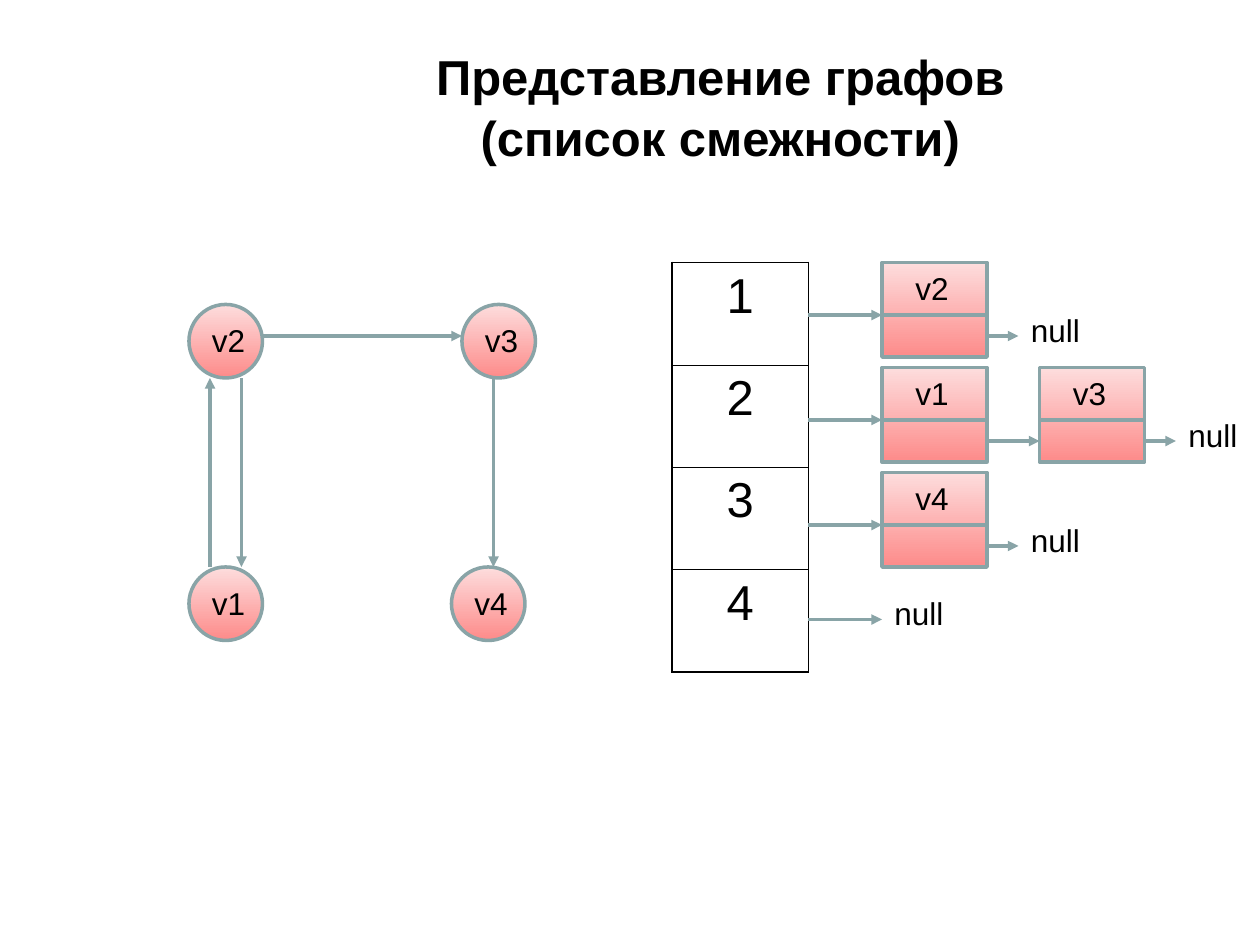
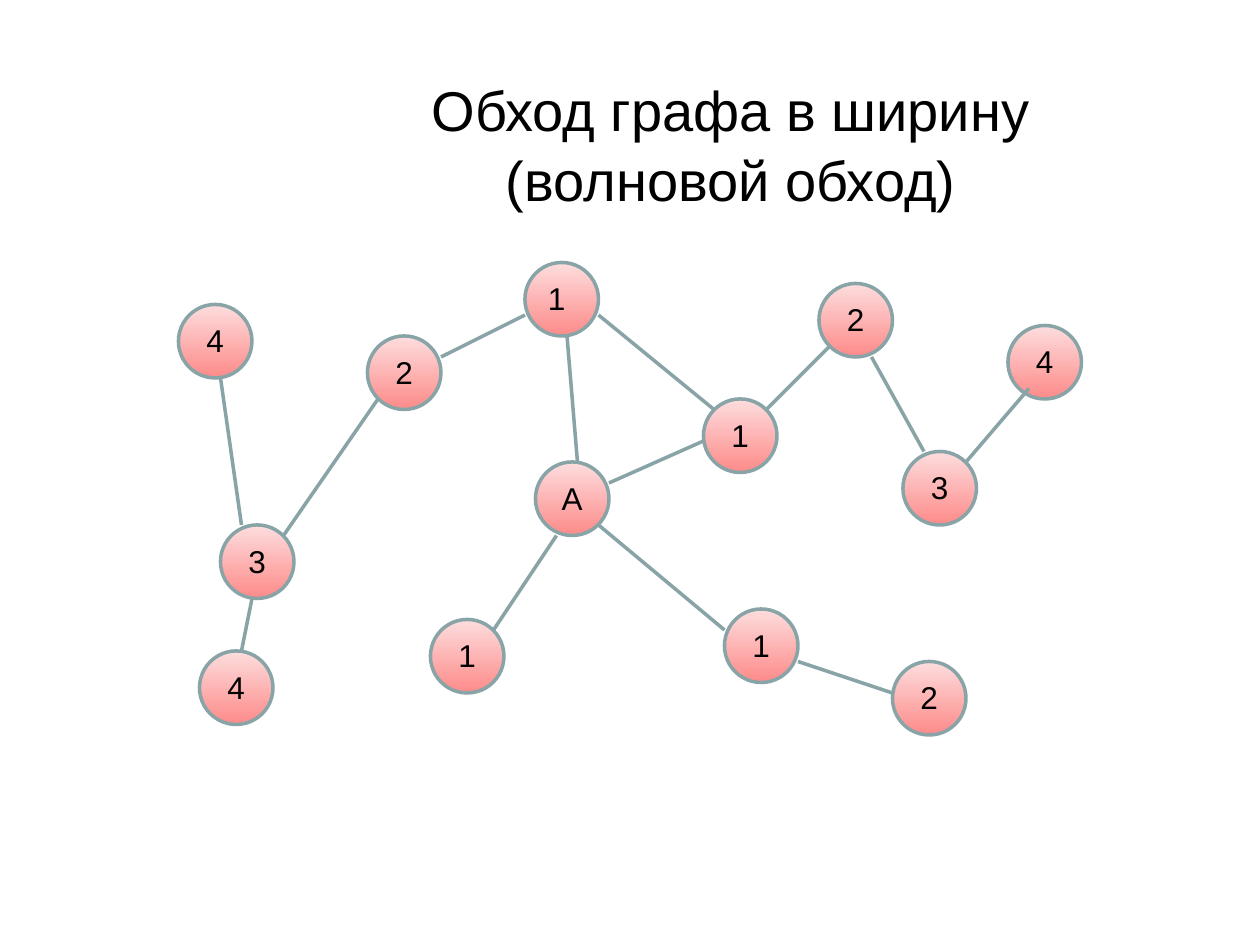
from dataclasses import dataclass

from lxml.etree import SubElement
from pptx import Presentation
from pptx.dml.color import RGBColor
from pptx.enum.shapes import MSO_CONNECTOR as CONN, MSO_SHAPE as SHAPE
from pptx.enum.text import MSO_ANCHOR as ANCHOR, PP_ALIGN as ALIGN
from pptx.oxml.ns import qn
from pptx.util import Inches, Pt

# Shared look
FONT = "Arial"
BLACK, OUTLINE = "000000", "89A4A7"
PINK_TOP, PINK_BOTTOM = "FDDDDD", "FD8B8A"
LINE_W = 2
OUTER_BORDER, INNER_BORDER = 1.08, 0.45

# The slide is a grid of 120 x 90 units, twelve to the inch
NODE = 7                    # diameter of a graph node
CELL_W, CELL_H = 10, 9      # one list element
CELL_SPLIT, CELL_LINK = 5, 7  # heights of its divider and outgoing arrow
LABEL_H = 4.8
TABLE_X, TABLE_Y, TABLE_W, ROW_H = 64, 25, 13, 9.75
LIST_X, LIST_STEP_X, LIST_STEP_Y = 84, 15, 10


@dataclass
class Node:
    text: str
    x: float
    y: float
    label_dx: float = 0


@dataclass
class Edge:
    x1: float
    y1: float
    x2: float
    y2: float


def u(n: float) -> int:
    """Grid units to slide lengths."""
    return Inches(n / 12)


def rgb(color: str) -> RGBColor:
    return RGBColor.from_string(color)


def write(tf, text: str, size=18, color=BLACK, bold=False, align=ALIGN.LEFT,
          anchor=None, spacing=None) -> None:
    """Fill a text frame, one paragraph; line ends become line breaks."""
    tf.word_wrap = True
    if anchor is not None:
        tf.vertical_anchor = anchor
    p = tf.paragraphs[0]
    p.alignment = align
    if spacing:
        p.line_spacing = spacing
    for i, part in enumerate(text.split("\n")):
        if i:
            p.add_line_break()
        r = p.add_run()
        r.text = part
        f = r.font
        f.name, f.size, f.bold = FONT, Pt(size), bold
        f.color.rgb = rgb(color)


def add_label(s, text: str, x: float, y: float, w: float, **fmt) -> None:
    box = s.shapes.add_textbox(u(x), u(y), u(w), u(LABEL_H))
    write(box.text_frame, text, **fmt)


def add_title(s, text: str, x: float, y: float, h: float, top: float = 0,
              bottom: float = 0, **fmt) -> None:
    tf = s.shapes.add_textbox(u(x), u(y), u(97.2), u(h)).text_frame
    tf.margin_top, tf.margin_bottom = u(top), u(bottom)
    write(tf, text, align=ALIGN.CENTER, anchor=ANCHOR.MIDDLE, spacing=1.05, **fmt)


def add_pink(s, kind, x: float, y: float, w: float, h: float) -> None:
    """A shape with the shared vertical gradient and outline."""
    sp = s.shapes.add_shape(kind, u(x), u(y), u(w), u(h))
    sp.shadow.inherit = False
    sp.fill.gradient()
    sp.fill.gradient_angle = 270
    stops = zip(sp.fill.gradient_stops, (PINK_TOP, PINK_BOTTOM), (0, 1))
    for stop, color, position in stops:
        stop.color.rgb = rgb(color)
        stop.position = position
    sp.line.color.rgb = rgb(OUTLINE)
    sp.line.width = Pt(LINE_W)


def add_line(s, edge: Edge, arrow: bool = False) -> None:
    c = s.shapes.add_connector(CONN.STRAIGHT, u(edge.x1), u(edge.y1),
                               u(edge.x2), u(edge.y2))
    c.line.color.rgb = rgb(OUTLINE)
    c.line.width = Pt(LINE_W)
    if arrow:
        SubElement(c.line._get_or_add_ln(), qn("a:tailEnd"), type="triangle")
    SubElement(c._element.spPr, qn("a:effectLst"))


def add_node(s, node: Node, inset: float = 0, align=ALIGN.CENTER) -> None:
    add_pink(s, SHAPE.OVAL, node.x, node.y, NODE, NODE)
    add_label(s, node.text, node.x + inset + node.label_dx, node.y + 1,
              NODE - inset, align=align)


def add_null(s, x: float, y: float) -> None:
    add_label(s, "null", x, y, 8)


def add_list(s, y: float, names: list[str]) -> None:
    """A linked list: entry arrow, elements, closing null."""
    add_line(s, Edge(TABLE_X + TABLE_W, y + CELL_SPLIT, LIST_X, y + CELL_SPLIT), True)
    for i, name in enumerate(names):
        x = LIST_X + i * LIST_STEP_X
        end = x + CELL_W
        add_pink(s, SHAPE.RECTANGLE, x, y, CELL_W, CELL_H)
        add_line(s, Edge(x, y + CELL_SPLIT, end, y + CELL_SPLIT))
        add_label(s, name, x + 2, y, 6)
        last = i == len(names) - 1
        target = end + 3 if last else x + LIST_STEP_X
        add_line(s, Edge(end, y + CELL_LINK, target, y + CELL_LINK), True)
        if last:
            add_null(s, target, y + 4)


def set_border(cell, side: str, width: float) -> None:
    ln = SubElement(cell._tc.get_or_add_tcPr(), qn(f"a:{side}"),
                    w=str(int(Pt(width))))
    fill = SubElement(ln, qn("a:solidFill"))
    SubElement(fill, qn("a:srgbClr"), val=BLACK)


def add_vertex_table(s, names: list[str]) -> None:
    n = len(names)
    table = s.shapes.add_table(n, 1, u(TABLE_X), u(TABLE_Y), u(TABLE_W),
                               u(ROW_H * n)).table
    table.first_row = table.horz_banding = False
    for i, name in enumerate(names):
        cell = table.cell(i, 0)
        write(cell.text_frame, name, size=28, align=ALIGN.CENTER)
        set_border(cell, "lnL", OUTER_BORDER)
        set_border(cell, "lnR", OUTER_BORDER)
        set_border(cell, "lnT", INNER_BORDER if i else OUTER_BORDER)
        set_border(cell, "lnB", INNER_BORDER if i < n - 1 else OUTER_BORDER)
        cell.fill.background()


prs = Presentation()
prs.slide_width, prs.slide_height = u(120), u(90)
blank = prs.slide_layouts[6]

# Slide 1: adjacency lists
s = prs.slides.add_slide(blank)
add_title(s, "Представление графов\n(список смежности)", 20, 5, 15, bottom=5,
          size=28, bold=True)
for node in (Node("v1", 18, 54), Node("v2", 18, 29),
             Node("v3", 44, 29), Node("v4", 43, 54)):
    add_node(s, node, inset=1, align=ALIGN.LEFT)
for edge in (Edge(20, 54, 20, 36), Edge(23, 36, 23, 54),
             Edge(25, 32, 44, 32), Edge(47, 36, 47, 54)):
    add_line(s, edge, arrow=True)
add_vertex_table(s, ["1", "2", "3", "4"])
for row, names in enumerate((["v2"], ["v1", "v3"], ["v4"])):
    add_list(s, TABLE_Y + row * LIST_STEP_Y, names)
# The last vertex has an empty list
add_line(s, Edge(TABLE_X + TABLE_W, 59, LIST_X, 59), arrow=True)
add_null(s, LIST_X, 56)

# Slide 2: breadth-first waves, each node labelled with its distance from A
s = prs.slides.add_slide(blank)
add_title(s, "Обход графа в ширину\n(волновой обход)", 21, 4, 13.7, top=5.4, size=32)
WAVE_NODES = [
    Node("4", 17, 29), Node("4", 19, 62), Node("2", 35, 32), Node("1", 69, 58),
    Node("1", 41, 59), Node("3", 21, 50), Node("A", 51, 44),
    Node("1", 50, 25, label_dx=-0.5), Node("3", 86, 43), Node("2", 78, 27),
    Node("2", 85, 63), Node("1", 67, 38), Node("4", 96, 31),
]
WAVE_EDGES = [
    Edge(53, 51, 47, 60), Edge(58, 46, 67, 42), Edge(55, 44, 54, 32),
    Edge(57, 50, 69, 60), Edge(50, 30, 42, 34), Edge(73, 39, 79, 33),
    Edge(76, 63, 85, 66), Edge(57, 30, 68, 39), Edge(36, 38, 27, 51),
    Edge(83, 34, 88, 43), Edge(92, 44, 98, 37), Edge(21, 36, 23, 50),
    Edge(24, 57, 23, 62),
]
for node in WAVE_NODES:
    add_node(s, node)
for edge in WAVE_EDGES:
    add_line(s, edge)

prs.save("out.pptx")
